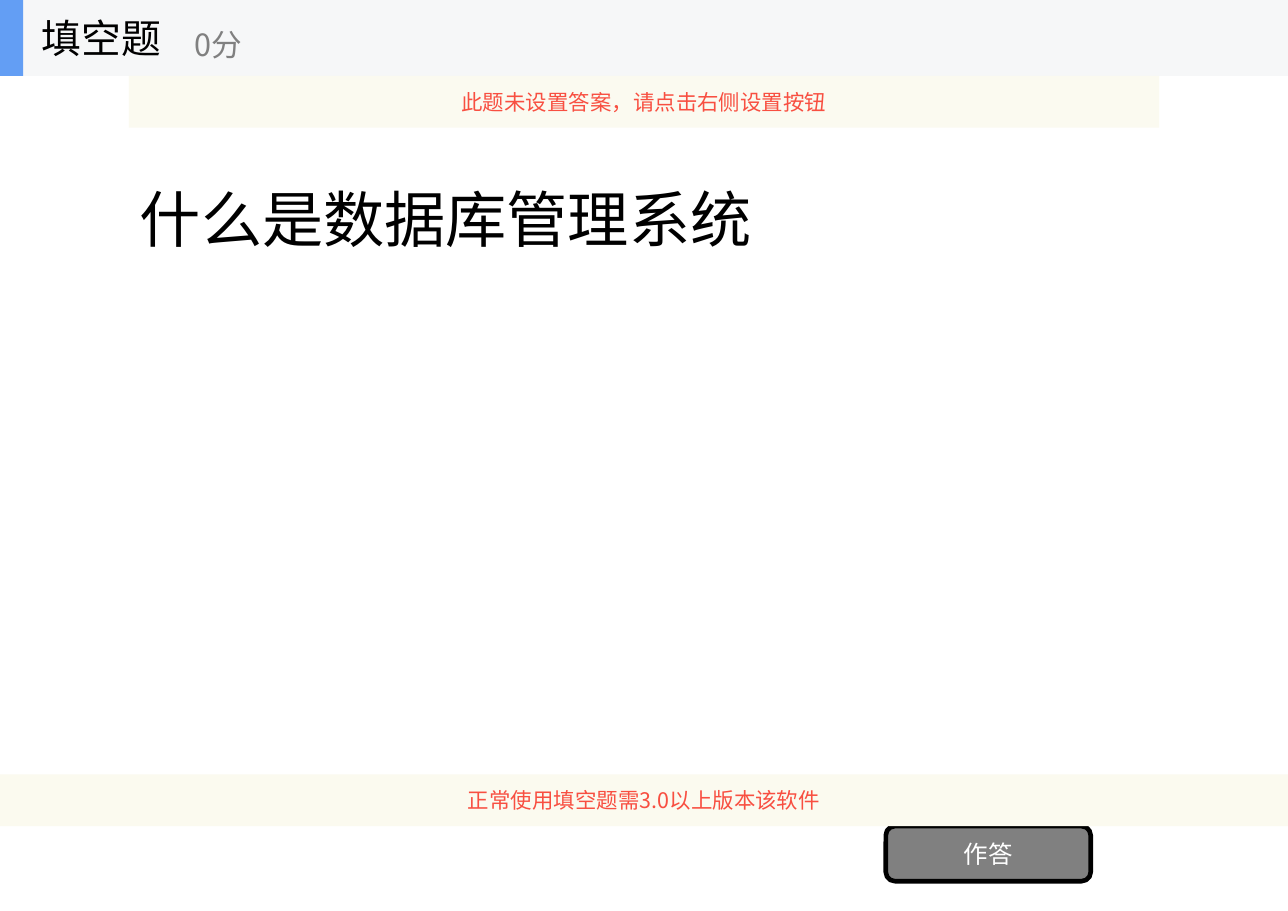
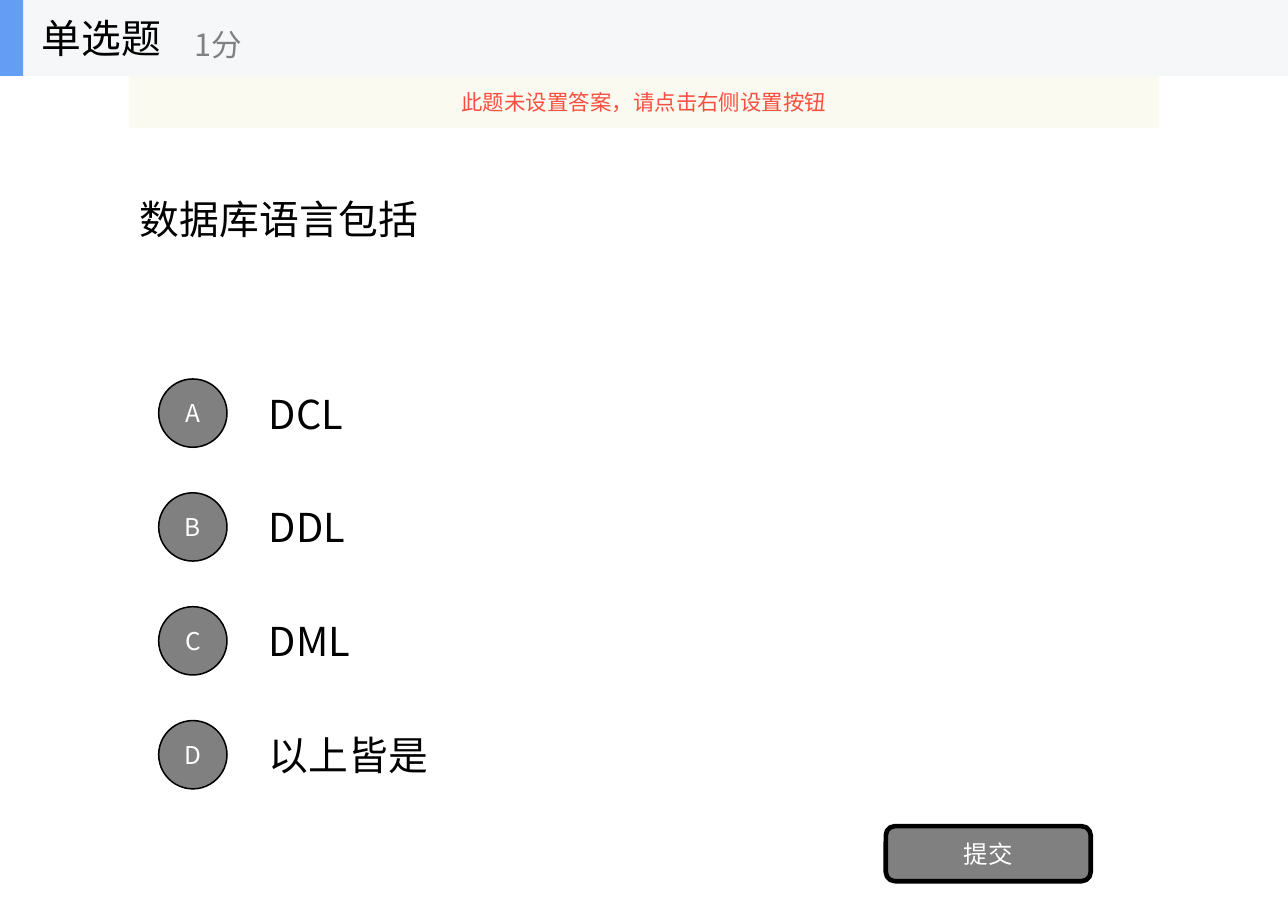
from dataclasses import dataclass
from typing import Optional

from lxml.etree import SubElement
from pptx import Presentation
from pptx.dml.color import RGBColor
from pptx.enum.shapes import MSO_SHAPE as Preset
from pptx.enum.text import MSO_ANCHOR as Anchor, MSO_AUTO_SIZE as AutoSize, PP_ALIGN as Align
from pptx.oxml.ns import qn
from pptx.presentation import Presentation as Deck
from pptx.shapes.autoshape import Shape
from pptx.slide import Slide
from pptx.util import Inches, Pt

BLACK = RGBColor(0x00, 0x00, 0x00)
WHITE = RGBColor(0xFF, 0xFF, 0xFF)
GREY = RGBColor(0x80, 0x80, 0x80)
CREAM = RGBColor(0xFB, 0xFA, 0xEF)
RED = RGBColor(0xF8, 0x4F, 0x41)
HEADER_GREY = RGBColor(0xF6, 0xF7, 0xF8)
ACCENT_BLUE = RGBColor(0x63, 0x9E, 0xF4)

CJK_FONT = "Noto Sans CJK SC"
SLIDE_W, SLIDE_H = 11.69, 8.27
HEADER_H = 0.69
MARGIN = 1.17
CONTENT_W = SLIDE_W - 2 * MARGIN
TIP_H = 0.47
OPTION_LEFT, OPTION_TOP, OPTION_H = 2.34, 3.36, 0.78
OPTION_PITCH = SLIDE_H / 8
BADGE_LEFT, BADGE_SIZE = 1.44, 0.62
BUTTON_TOP = 7.5
FRAME_FORMAT = {
    "word_wrap": True,
    "auto_size": AutoSize.NONE,
    "vertical_anchor": Anchor.MIDDLE,
}


@dataclass(frozen=True)
class Box:
    left: float
    top: float
    width: float
    height: float

    def lengths(self) -> tuple[int, ...]:
        return tuple(Inches(v) for v in (self.left, self.top, self.width, self.height))


@dataclass(frozen=True)
class TextStyle:
    size: float
    color: RGBColor = BLACK
    align: Align = Align.LEFT
    font: str = CJK_FONT


@dataclass(frozen=True)
class Question:
    kind: str
    score: str
    prompt: str
    prompt_style: TextStyle
    button: str
    options: tuple[str, ...] = ()
    version_tip: Optional[str] = None


BODY = TextStyle(26)
SCORE = TextStyle(20, GREY)
LABEL = TextStyle(16, WHITE, Align.CENTER)
TIP = TextStyle(14, RED, Align.CENTER)
ANSWER_TIP = "此题未设置答案，请点击右侧设置按钮"

QUESTIONS = (
    Question("填空题", "0分", "什么是数据库管理系统", TextStyle(40, font="Calibri"), "作答",
             version_tip="正常使用填空题需3.0以上版本该软件"),
    Question("单选题", "1分", "数据库语言包括", BODY, "提交",
             options=("DCL", "DDL", "DML", "以上皆是")),
)


def write(shape: Shape, text: str, style: TextStyle) -> None:
    frame = shape.text_frame
    for name, value in FRAME_FORMAT.items():
        setattr(frame, name, value)
    paragraph = frame.paragraphs[0]
    paragraph.alignment = style.align
    run = paragraph.add_run()
    run.text = text
    for name, value in {"size": Pt(style.size), "name": style.font, "bold": False}.items():
        setattr(run.font, name, value)
    run.font.color.rgb = style.color
    east_asian = SubElement(run._r.get_or_add_rPr(), qn("a:ea"))
    east_asian.set("typeface", CJK_FONT)


def add_label(shapes, box: Box, text: str, style: TextStyle) -> None:
    write(shapes.add_textbox(*box.lengths()), text, style)


def add_block(shapes, preset: Preset, box: Box, fill: RGBColor, line_width: float = 0) -> Shape:
    """Add a filled shape, with a black outline if line_width (points) is given."""
    block = shapes.add_shape(preset, *box.lengths())
    block.shadow.inherit = False
    block.fill.solid()
    block.fill.fore_color.rgb = fill
    if line_width:
        block.line.color.rgb = BLACK
        block.line.width = Pt(line_width)
    else:
        block.line.fill.background()
    return block


def add_tip(slide: Slide, box: Box, text: str, opacity: int = 100) -> None:
    """Add a warning band; opacity is a percentage."""
    band = add_block(slide.shapes, Preset.RECTANGLE, box, CREAM)
    if opacity < 100:
        color = band._element.spPr.find(qn("a:solidFill")).find(qn("a:srgbClr"))
        SubElement(color, qn("a:alpha")).set("val", str(opacity * 1000))
    write(band, text, TIP)


def add_header(slide: Slide, kind: str, score: str) -> None:
    parts = slide.shapes.add_group_shape().shapes
    add_block(parts, Preset.RECTANGLE, Box(0, 0, SLIDE_W, HEADER_H), HEADER_GREY)
    add_block(parts, Preset.RECTANGLE, Box(0, 0, 0.21, HEADER_H), ACCENT_BLUE)
    add_label(parts, Box(0.28, 0, 2.08, HEADER_H), kind, BODY)
    add_label(parts, Box(1.67, 0.12, 2.5, 0.56), score, SCORE)


def add_prompt(slide: Slide, question: Question) -> None:
    title = slide.shapes.title
    box = Box(MARGIN, HEADER_H, CONTENT_W, 2.58)
    for name, value in zip(("left", "top", "width", "height"), box.lengths()):
        setattr(title, name, value)
    write(title, question.prompt, question.prompt_style)


def add_options(slide: Slide, options: tuple[str, ...]) -> None:
    width = SLIDE_W - MARGIN - OPTION_LEFT
    for index, (letter, option) in enumerate(zip("ABCD", options)):
        top = OPTION_TOP + index * OPTION_PITCH
        add_label(slide.shapes, Box(OPTION_LEFT, top, width, OPTION_H), option, BODY)
        badge_top = top + (OPTION_H - BADGE_SIZE) / 2
        badge = add_block(slide.shapes, Preset.OVAL,
                          Box(BADGE_LEFT, badge_top, BADGE_SIZE, BADGE_SIZE), GREY, 1)
        write(badge, letter, LABEL)


def add_question(deck: Deck, question: Question) -> None:
    slide = deck.slides.add_slide(deck.slide_layouts.get_by_name("Title Only"))
    add_prompt(slide, question)
    add_options(slide, question.options)
    button = add_block(slide.shapes, Preset.ROUNDED_RECTANGLE,
                       Box(8.04, BUTTON_TOP, 1.86, 0.5), GREY, 3)
    write(button, question.button, LABEL)
    if question.version_tip:
        add_tip(slide, Box(0, BUTTON_TOP - TIP_H, SLIDE_W, TIP_H), question.version_tip)
    add_header(slide, question.kind, question.score)
    add_tip(slide, Box(MARGIN, HEADER_H, CONTENT_W, TIP_H), ANSWER_TIP, opacity=90)


def main() -> None:
    deck = Presentation()
    deck.slide_width, deck.slide_height = Inches(SLIDE_W), Inches(SLIDE_H)
    for question in QUESTIONS:
        add_question(deck, question)
    deck.save("out.pptx")


if __name__ == "__main__":
    main()
